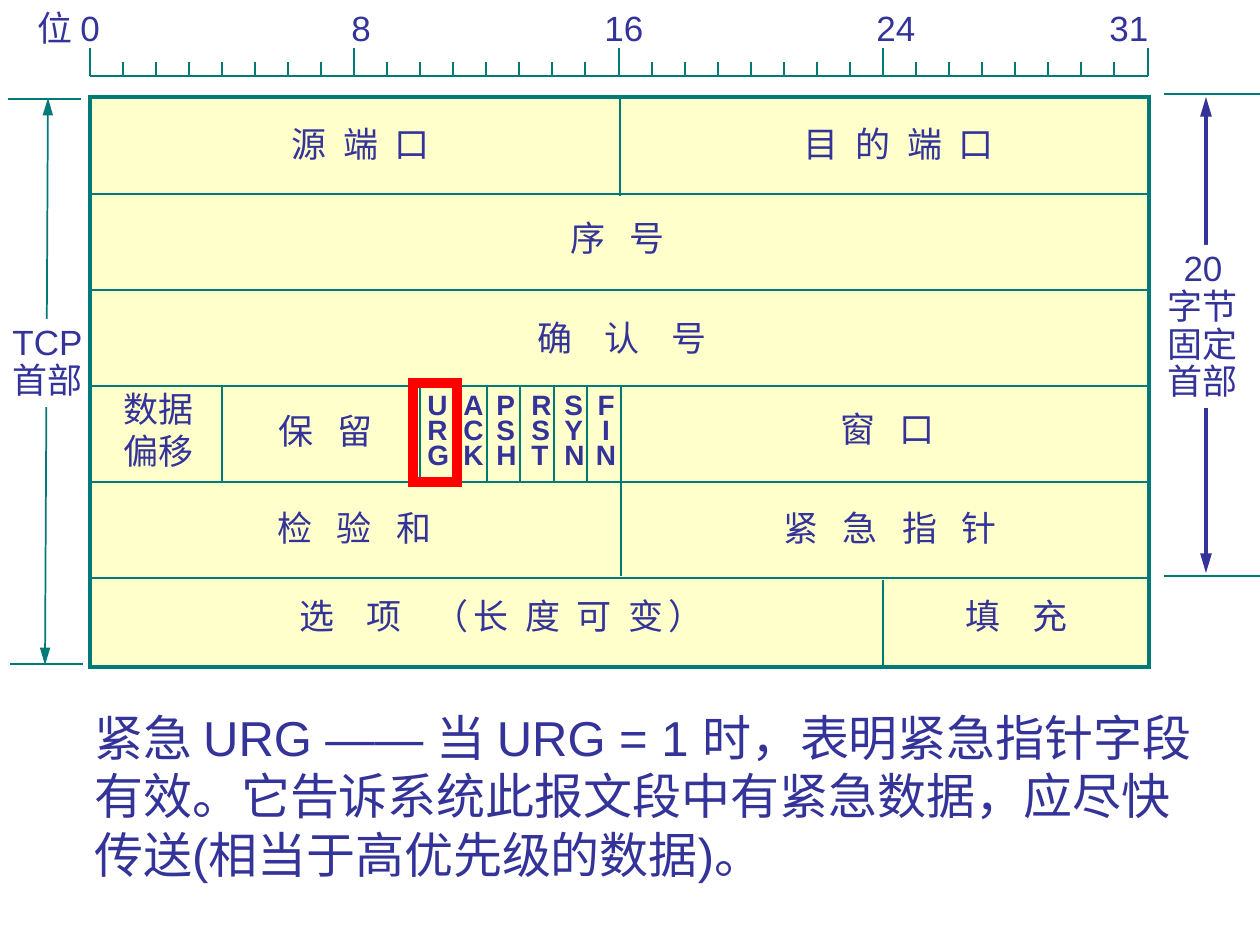
from lxml import etree
from pptx import Presentation
from pptx.dml.color import RGBColor
from pptx.enum import shapes, text
from pptx.oxml.ns import qn
from pptx.util import Emu, Pt


class Theme:
    teal = RGBColor.from_string("007A77")
    navy = RGBColor.from_string("333399")
    cream = RGBColor.from_string("FFFFCC")
    white = RGBColor.from_string("FFFFFF")
    red = RGBColor.from_string("FF0000")
    font = "Arial"
    label, flag, body = 20, 16, 28


PX = 914400 / 126
LEFT, CENTER = text.PP_ALIGN.LEFT, text.PP_ALIGN.CENTER
RECT = shapes.MSO_SHAPE.RECTANGLE

prs = Presentation()
prs.slide_width, prs.slide_height = Emu(int(1260 * PX)), Emu(int(945 * PX))
s = prs.slides.add_slide(prs.slide_layouts[6])


def line(*ends, color=Theme.teal, width=1, arrows=False):
    c = s.shapes.add_connector(shapes.MSO_CONNECTOR.STRAIGHT, *[Emu(int(v * PX)) for v in ends])
    c.line.color.rgb, c.line.width = color, Pt(width)
    if arrows:
        for end in ("a:headEnd", "a:tailEnd"):
            etree.SubElement(c.line._get_or_add_ln(), qn(end), type="triangle", len="lg")
    etree.SubElement(c._element.spPr, qn("a:effectLst"))


def write(box, words, gap=1, tail="", size=Theme.label, bold=False,
          align=LEFT, spacing=None, wrap=False, fill=None):
    """Text box; tracking widens each single space to about gap spaces."""
    place = [Emu(int(v * PX)) for v in box]
    if fill is None:
        sp = s.shapes.add_textbox(*place)
    else:
        sp = s.shapes.add_shape(RECT, *place)
        sp.shadow.inherit = False
        sp.fill.solid()
        sp.fill.fore_color.rgb = fill
        sp.line.fill.background()
    tf = sp.text_frame
    tf.word_wrap = wrap
    tf.auto_size = text.MSO_AUTO_SIZE.SHAPE_TO_FIT_TEXT
    tf.vertical_anchor = text.MSO_ANCHOR.TOP
    tf.text = words
    if tail:
        tf.paragraphs[0].add_run().text = tail
    for p in tf.paragraphs:
        p.alignment = align
        if spacing:
            p.line_spacing = spacing
        for r, spaces in zip(p.runs, (gap, 2)):
            r.font.name, r.font.size, r.font.bold = Theme.font, Pt(size), bold
            r.font.color.rgb = Theme.navy
            if spaces > 1:
                r._r.get_or_add_rPr().set("spc", str(218 * spaces - 180))
    return sp


# Height arrows with their captions
line(48, 98, 45, 665, arrows=True)
write((0, 319, 96, 88), "TCP\n首部", spacing=0.9, fill=Theme.white)
line(1206, 97, 1206, 573, color=Theme.navy, width=2.25, arrows=True)
write((1155, 245, 96, 163), "20\n字节\n固定\n首部", align=CENTER, spacing=0.9, fill=Theme.white)
for x, y, length in ((1164, 94, 115), (1164, 576, 115), (8, 99, 73), (10, 664, 73)):
    line(x, y, x + length, y)

# Header frame and row lines
frame = s.shapes.add_shape(RECT, *[Emu(int(v * PX)) for v in (90, 97, 1059, 570)])
frame.shadow.inherit = False
frame.fill.solid()
frame.fill.fore_color.rgb = Theme.cream
frame.line.color.rgb, frame.line.width = Theme.teal, Pt(2)
etree.SubElement(frame.line._get_or_add_ln(), qn("a:miter"), lim="800000")
for row in range(1, 6):
    line(90, 98 + 96 * row, 1149, 98 + 96 * row)

# Column dividers
for x, top, bottom in ((620, 98, 196), (621, 387, 576), (222, 387, 482), (883, 580, 667)):
    line(x, top, x, bottom)
for i in range(6):
    x = 420 + 67 * i // 2
    line(x, 387, x, 481)

# Bit ruler
line(90, 76, 1148, 76)
for bit in range(33):
    x = 90 + 1058 * bit // 32
    line(x, 62 if bit % 8 else 48, x, 76)
ruler = write((25, 0, 1150, 54), "位 0\t8\t16\t24\t31", wrap=True)
tabs = etree.SubElement(ruler.text_frame.paragraphs[0]._p.get_or_add_pPr(), qn("a:tabLst"))
for x in (314, 567, 839, 1072):
    etree.SubElement(tabs, qn("a:tab"), pos=str(int(x * PX)), algn="l")

# Field names
for x, y, w, name, gap in (
    (279, 116, 180, "源 端 口", 2),
    (791, 116, 230, "目 的 端 口", 2),
    (558, 210, 190, "序 号", 3),
    (525, 310, 253, "确 认 号", 4),
    (266, 403, 136, "保 留", 3),
    (828, 401, 136, "窗 口", 3),
    (265, 500, 200, "检 验 和", 3),
    (771, 500, 260, "紧 急 指 针", 3),
    (953, 588, 173, "填 充", 4),
):
    write((x, y, w, 54), name, gap, wrap=True)
write((111, 381, 96, 96), "数据\n偏移")
write((287, 588, 470, 54), "选 项 ", 4, tail="（长 度 可 变）", wrap=True)

# Control flags, one letter a line
for x, flag in ((415, "URG"), (451, "ACK"), (484, "PSH"), (519, "RST"), (552, "SYN"), (583, "FIN")):
    write((x, 389, 46, 88), "\n".join(flag), size=Theme.flag, bold=True, spacing=0.75,
          align=CENTER if flag == "FIN" else LEFT)

# Explanation
write((82, 701, 1124, 189),
      "紧急 URG —— 当 URG = 1 时，表明紧急指针字段有效。"
      "它告诉系统此报文段中有紧急数据，应尽快传送(相当于高优先级的数据)。",
      size=Theme.body, wrap=True)

# Highlight around URG
mark = s.shapes.add_shape(RECT, *[Emu(int(v * PX)) for v in (413, 383, 44, 99)])
mark.shadow.inherit = False
mark.fill.background()
mark.line.color.rgb, mark.line.width = Theme.red, Pt(6)
etree.SubElement(mark.line._get_or_add_ln(), qn("a:miter"), lim="800000")

prs.save("out.pptx")
